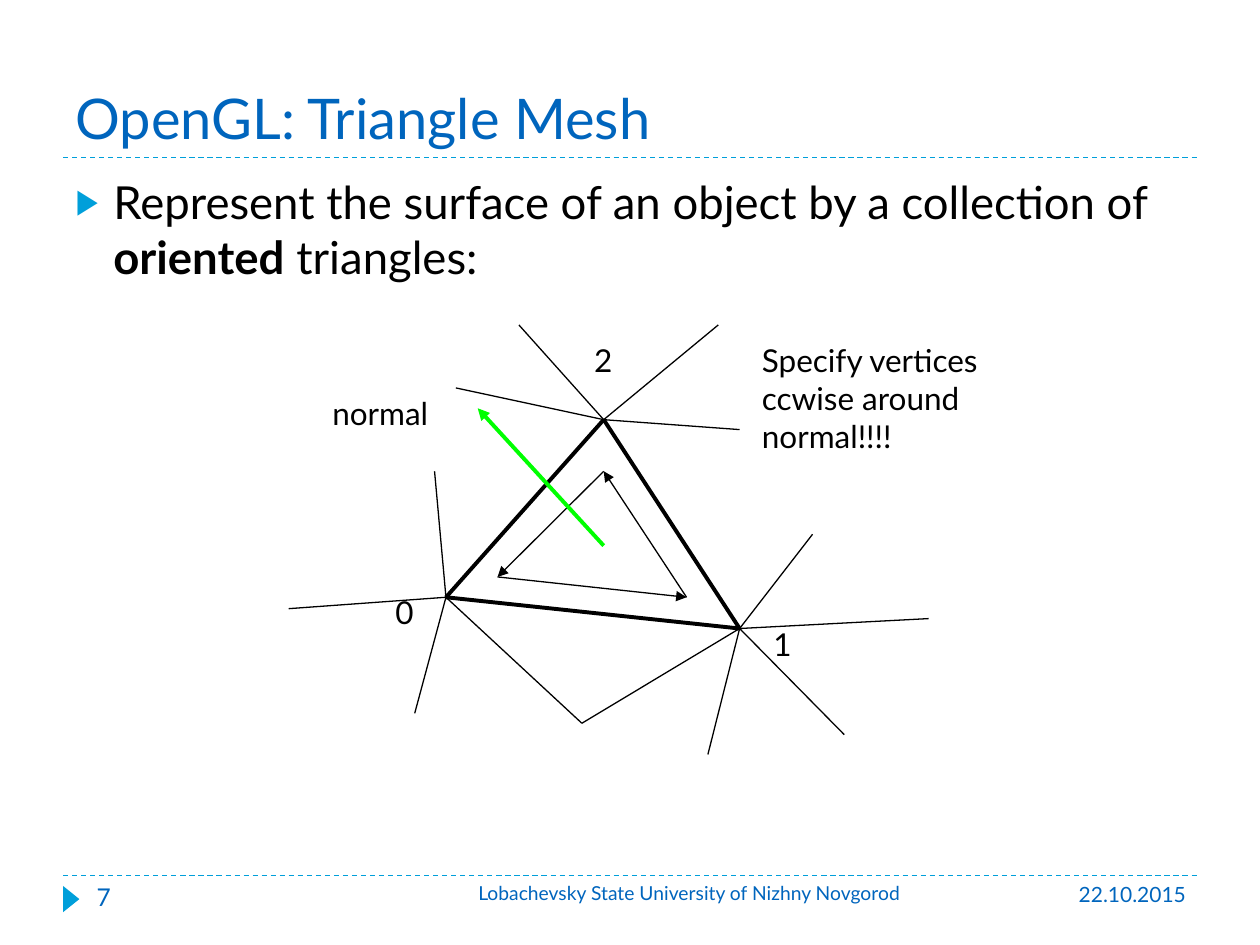
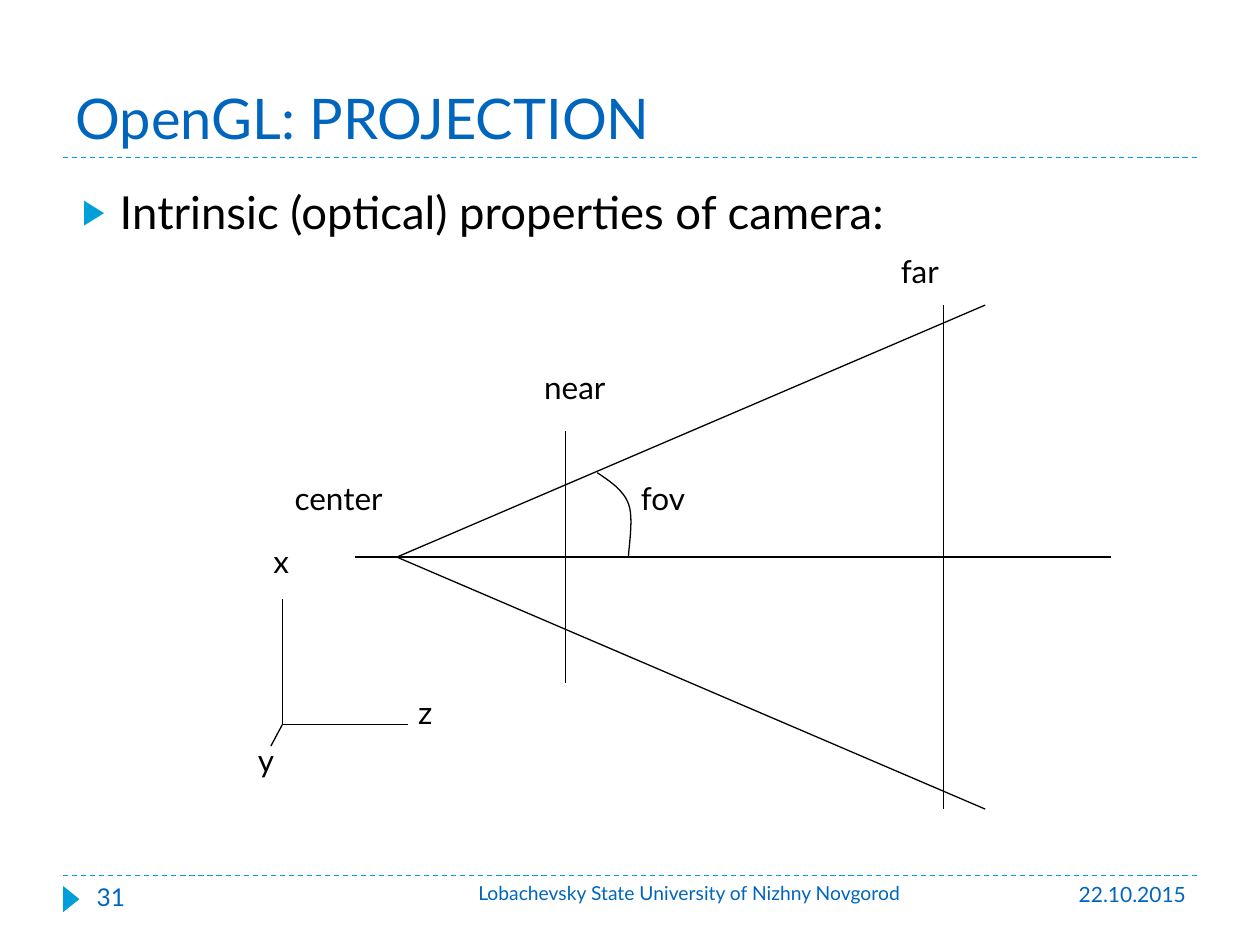
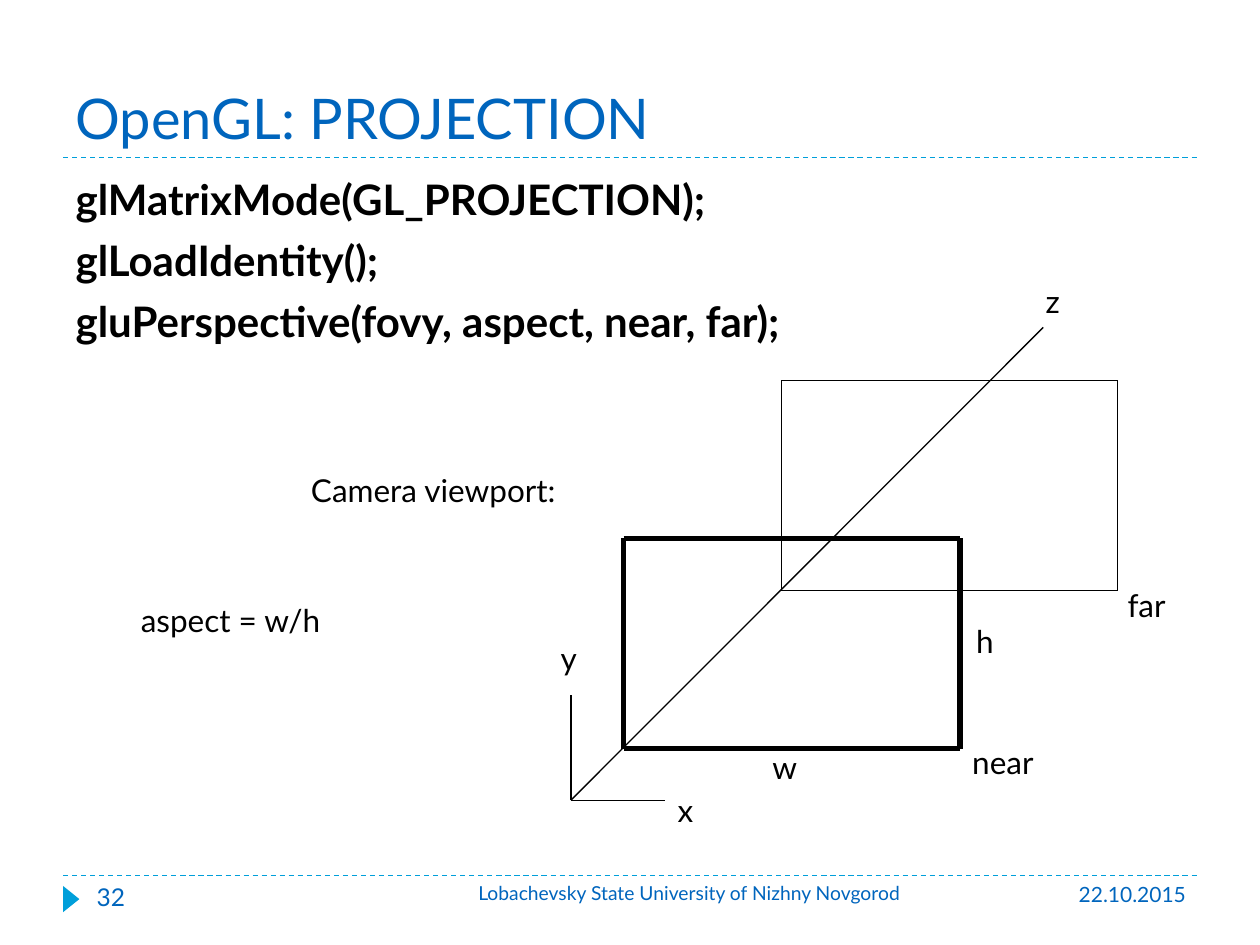
"""Build three lecture slides about triangle meshes and projection in OpenGL."""
from itertools import pairwise

from lxml import etree
from pptx import Presentation
from pptx.dml.color import RGBColor
from pptx.enum import dml, shapes, text
from pptx.oxml import ns
from pptx.util import Cm, Pt

FONT = "Lato"
BLUE, CYAN, BLACK, GREEN = "0065BD", "009FDA", "000000", "00FF00"
FOOTER_TOP = 17.65
BODY_BOX = (1.27, 3.38, 22.86, 13.64)


def color(hex_code):
    return RGBColor.from_string(hex_code)


def add_xml(parent, tag, **attributes):
    return etree.SubElement(parent, ns.qn(tag), attributes)


def style_font(font, size, hex_code, bold=None):
    font.name, font.size, font.bold = FONT, Pt(size), bold
    font.color.rgb = color(hex_code)


def place(shape, left, top, width, height):
    shape.left, shape.top = Cm(left), Cm(top)
    shape.width, shape.height = Cm(width), Cm(height)


def add_line(slide, start, end, weight=0.75, hex_code=BLACK, arrow=False):
    line = slide.shapes.add_connector(
        shapes.MSO_CONNECTOR.STRAIGHT, *map(Cm, (*start, *end)))
    line.line.width = Pt(weight)
    line.line.color.rgb = color(hex_code)
    if arrow:
        add_xml(line.line._get_or_add_ln(), "a:tailEnd", type="triangle")
    add_xml(line._element.spPr, "a:effectLst")
    return line


def add_loop(slide, corners, **style):
    for start, end in pairwise([*corners, corners[0]]):
        add_line(slide, start, end, **style)


def add_frame(slide, left, top, width, height, **style):
    right, bottom = left + width, top + height
    add_loop(slide, [(left, top), (right, top), (right, bottom), (left, bottom)],
             **style)


def add_rays(slide, origin, ends):
    for end in ends:
        add_line(slide, origin, end)


def add_text(slide, content, left, top, width, height=1.27, size=18,
             hex_code=BLACK, align=text.PP_ALIGN.LEFT):
    frame = slide.shapes.add_textbox(*map(Cm, (left, top, width, height))).text_frame
    frame.word_wrap = True
    frame.text = content
    for paragraph in frame.paragraphs:
        paragraph.alignment = align
        style_font(paragraph.font, size, hex_code)


def add_labels(slide, labels):
    for label in labels:
        add_text(slide, *label)


def bezier(start, control_1, control_2, end, steps=12):
    for step in range(1, steps + 1):
        t = step / steps
        weights = ((1 - t) ** 3, 3 * t * (1 - t) ** 2, 3 * t * t * (1 - t), t ** 3)
        yield tuple(
            sum(weight * value for weight, value in zip(weights, values))
            for values in zip(start, control_1, control_2, end))


def add_curve(slide, points):
    """Draw cubic segments through points, given as start, control, control, end."""
    builder = slide.shapes.build_freeform(Cm(points[0][0]), Cm(points[0][1]))
    for first in range(0, len(points) - 1, 3):
        segment = bezier(*points[first:first + 4])
        builder.add_line_segments([(Cm(x), Cm(y)) for x, y in segment], close=False)
    curve = builder.convert_to_shape()
    curve.fill.background()
    curve.line.color.rgb = color(BLACK)
    curve.line.width = Pt(0.75)
    curve.shadow.inherit = False


def decorate_master(presentation, slide):
    """Draw the rules and the page marker and move them to the master."""
    marker = slide.shapes.add_shape(
        shapes.MSO_SHAPE.ISOSCELES_TRIANGLE, *map(Cm, (1.17, 17.96, 0.53, 0.33)))
    marker.rotation = 90
    marker.fill.solid()
    marker.fill.fore_color.rgb = color(CYAN)
    marker.line.fill.background()
    marker.shadow.inherit = False
    rules = [add_line(slide, (1.27, y), (24.13, y), hex_code=CYAN)
             for y in (FOOTER_TOP, 3.18)]
    for rule in rules:
        rule.line.dash_style = dml.MSO_LINE.DASH
    for shape in (*rules, marker):
        presentation.slide_master.shapes.element.append(shape._element)


def add_slide(presentation, title, number):
    slide = presentation.slides.add_slide(presentation.slide_layouts[1])
    heading = slide.shapes.title
    place(heading, 1.27, 0.43, 22.86, 2.74)
    frame = heading.text_frame
    frame.text = title
    frame.vertical_anchor = text.MSO_ANCHOR.BOTTOM
    frame.auto_size = text.MSO_AUTO_SIZE.NONE
    paragraph = frame.paragraphs[0]
    paragraph.alignment = text.PP_ALIGN.LEFT
    style_font(paragraph.font, 32, BLUE)
    add_text(slide, "22.10.2015", 21.44, FOOTER_TOP, 2.72, 1.02, 12, BLUE,
             text.PP_ALIGN.RIGHT)
    add_text(slide, str(number), 1.7, FOOTER_TOP, 5.51, 1.02, 14, BLUE)
    add_text(slide, "Lobachevsky State University of Nizhny Novgorod",
             8.74, FOOTER_TOP, 10.31, 1.02, 11, BLUE, text.PP_ALIGN.CENTER)
    return slide


def set_bullet(paragraph, bullet):
    properties = paragraph._p.get_or_add_pPr()
    properties.set("marL", str(Cm(0.76)))
    properties.set("indent", str(-Cm(0.76)))
    if bullet:
        add_xml(add_xml(properties, "a:buClr"), "a:srgbClr", val=CYAN)
        add_xml(properties, "a:buSzPct", val="76000")
        add_xml(properties, "a:buChar", char="▶")
    else:
        add_xml(properties, "a:buNone")


def fill_body(slide, box, lines, size=26, bullet=True, bold=None):
    """Write lines, each a list of runs, where every second run is bold."""
    body = slide.placeholders[1]
    place(body, *box)
    frame = body.text_frame
    frame.auto_size = text.MSO_AUTO_SIZE.NONE
    for index, runs in enumerate(lines):
        paragraph = frame.add_paragraph() if index else frame.paragraphs[0]
        set_bullet(paragraph, bullet)
        paragraph.space_before = Pt(6)
        style_font(paragraph.font, size, BLACK, bold)
        for position, content in enumerate(runs):
            run = paragraph.add_run()
            run.text = content
            if position % 2:
                run.font.bold = True


def fill_mesh(slide):
    fill_body(slide, BODY_BOX, [["Represent the surface of an object by a collection of ",
                                 "oriented", " triangles:"]])
    vertices = left, right, top = (8.99, 12.04), (14.91, 12.67), (12.17, 8.46)
    shared = (11.73, 14.58)
    add_loop(slide, vertices, weight=2.25)
    add_loop(slide, [(10.03, 11.63), (13.84, 12.04), (12.17, 9.5)], arrow=True)
    add_line(slide, (12.17, 11), (9.63, 8.23), 2.25, GREEN, arrow=True)
    add_rays(slide, left, [(8.76, 9.5), (5.82, 12.27), (8.36, 14.38), shared])
    add_rays(slide, right, [(16.38, 10.77), shared, (14.27, 15.21),
                            (18.72, 12.47), (17.02, 14.81)])
    add_rays(slide, top, [(14.91, 8.66), (14.48, 6.55), (10.46, 6.55), (9.19, 7.82)])
    add_labels(slide, [
        ("Specify vertices\nccwise around\nnormal!!!!", 15.11, 6.76, 6.3, 3.3),
        ("0", 7.72, 11.84, 0.97), ("1", 15.34, 12.47, 0.97),
        ("2", 11.73, 6.76, 0.97), ("normal", 6.45, 7.82, 3.1)])


def fill_camera(slide):
    fill_body(slide, (1.4, 3.58, 21.59, 1.91),
              [["Intrinsic (optical) properties of camera:"]])
    axis = 11.23
    add_rays(slide, (8, axis), [(19.86, axis - 5.08), (19.86, axis + 5.08)])
    add_line(slide, (7.16, axis), (22.4, axis))
    for x, reach in ((11.4, 2.54), (19.02, 5.08)):
        add_line(slide, (x, axis - reach), (x, axis + reach))
    add_curve(slide, [(12.04, 9.53), (12.29, 9.7), (12.57, 9.88), (12.67, 10.16),
                      (12.78, 10.44), (12.67, 11.05), (12.67, axis)])
    add_rays(slide, (5.69, 14.61), [(5.69, 12.07), (8.23, 14.61), (5.46, 15.04)])
    add_labels(slide, [
        ("center", 5.69, 9.53, 2.84), ("near", 10.72, 7.29, 2.18),
        ("far", 17.91, 4.95, 1.52), ("fov", 12.67, 9.53, 1.65),
        ("z", 8.18, 13.84, 0.89), ("x", 5.26, 10.8, 0.94), ("y", 4.95, 14.81, 0.94)])


def fill_viewport(slide):
    fill_body(slide, BODY_BOX, [["glMatrixMode(GL_PROJECTION);"], ["glLoadIdentity();"],
                                ["gluPerspective(fovy, aspect, near, far);"]],
              size=24, bullet=False, bold=True)
    add_frame(slide, 12.57, 10.85, 6.78, 4.24, weight=3)
    add_frame(slide, 15.75, 7.67, 6.78, 4.24)
    add_rays(slide, (11.51, 16.13), [(11.51, 14.02), (13.41, 16.13), (21.03, 6.6)])
    add_labels(slide, [
        ("Camera viewport:", 6.02, 9.37, 7.14), ("aspect = w/h", 2.59, 11.99, 5.49),
        ("x", 13.41, 15.82, 0.94), ("y", 11.05, 12.75, 0.94), ("z", 20.83, 5.56, 0.89),
        ("near", 19.35, 14.86, 2.18), ("far", 22.48, 11.68, 1.52),
        ("h", 19.43, 12.42, 0.99), ("w", 15.32, 14.96, 1.14)])


def main():
    presentation = Presentation()
    presentation.slide_width, presentation.slide_height = Cm(25.4), Cm(19.05)
    mesh = add_slide(presentation, "OpenGL: Triangle Mesh", 7)
    decorate_master(presentation, mesh)
    fill_mesh(mesh)
    fill_camera(add_slide(presentation, "OpenGL: PROJECTION", 31))
    fill_viewport(add_slide(presentation, "OpenGL: PROJECTION", 32))
    presentation.save("out.pptx")


if __name__ == "__main__":
    main()
